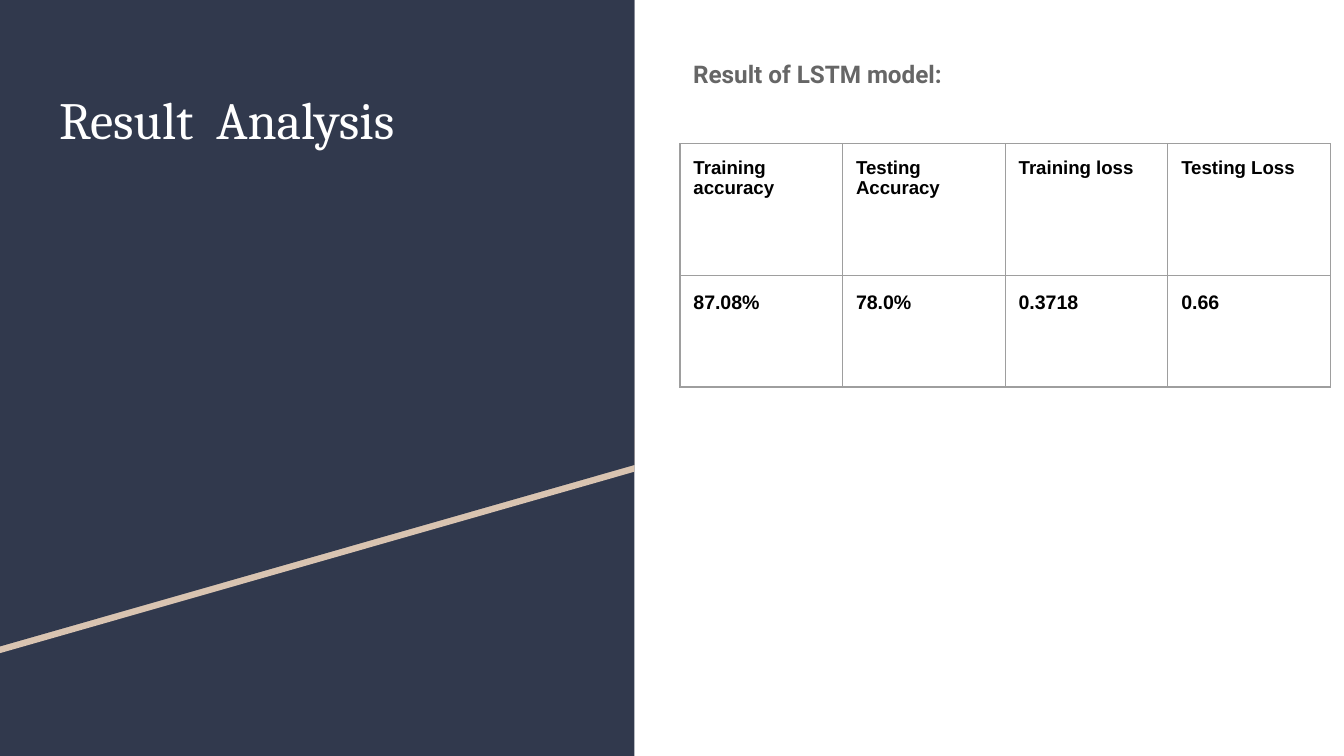
"""Build the result analysis slide with its table of LSTM scores."""
import pptx
import pptx.util
import pptx.dml.color
import pptx.enum.shapes
import pptx.enum.text
import pptx.oxml.ns
from lxml import etree

Inches = pptx.util.Inches
Pt = pptx.util.Pt
qn = pptx.oxml.ns.qn

TITLE = "Result  Analysis"
HEADING = "Result of LSTM model:"
ROWS = [
    ("Training accuracy", "Testing Accuracy", "Training loss", "Testing Loss"),
    ("87.08%", "78.0%", "0.3718", "0.66"),
]
ROW_HEIGHTS = [0.98, 0.83]
ROW_FORMATS = [dict(size=10), dict(size=10.5, spacing=1.15, highlight="white")]
COL_WIDTH = 1.21
SLIDE_WIDTH = 10
SLIDE_HEIGHT = SLIDE_WIDTH * 9 / 16
PANEL_WIDTH = 4.72
COLORS = {
    "navy": "31394D",
    "sand": "D9C4B1",
    "white": "FFFFFF",
    "gray": "666666",
    "black": "000000",
    "border": "9E9E9E",
}
BANDS = [
    ("sand", [(0, 0.05), (4.71, 0.05), (PANEL_WIDTH, 3.51), (0, 4.86)]),
    ("navy", [(0, 0), (PANEL_WIDTH, 0), (PANEL_WIDTH, 3.46), (0, 4.81)]),
]


def rgb(name):
    return pptx.dml.color.RGBColor.from_string(COLORS[name])


def add_color(parent, tag, name):
    holder = etree.SubElement(parent, qn(tag))
    etree.SubElement(holder, qn("a:srgbClr"), val=COLORS[name])


def write(tf, text, size=10, font="Arial", color="black", bold=True,
          spacing=1.0, highlight=None):
    tf.word_wrap = True
    p = tf.paragraphs[0]
    p.alignment = pptx.enum.text.PP_ALIGN.LEFT
    p.line_spacing = spacing
    p.space_before = Pt(0)
    r = p.add_run()
    r.text = text
    r.font.size = Pt(size)
    r.font.bold = bold
    r.font.color.rgb = rgb(color)
    if highlight:
        add_color(r._r.get_or_add_rPr(), "a:highlight", highlight)
    r.font.name = font


def place_text(sp, box, text, **fmt):
    sp.left, sp.top, sp.width, sp.height = map(Inches, box)
    tf = sp.text_frame
    tf.auto_size = pptx.enum.text.MSO_AUTO_SIZE.NONE
    tf.vertical_anchor = pptx.enum.text.MSO_ANCHOR.TOP
    tf.margin_left = tf.margin_right = tf.margin_top = tf.margin_bottom = Inches(0.1)
    write(tf, text, **fmt)


def paint(sp, color):
    sp.shadow.inherit = False
    sp.fill.solid()
    sp.fill.fore_color.rgb = rgb(color)
    sp.line.fill.background()


def format_cell(cell, text, **fmt):
    cell.margin_left = cell.margin_right = Inches(0.1)
    cell.margin_top = cell.margin_bottom = Inches(0.1)
    tcPr = cell._tc.get_or_add_tcPr()
    for side in ("a:lnL", "a:lnR", "a:lnT", "a:lnB"):
        ln = etree.SubElement(tcPr, qn(side), w=str(Pt(0.75)))
        add_color(ln, "a:solidFill", "border")
    cell.fill.background()
    write(cell.text_frame, text, **fmt)


def add_panel(s):
    sp = s.shapes.add_shape(pptx.enum.shapes.MSO_SHAPE.RECTANGLE, 0, 0,
                            Inches(PANEL_WIDTH), Inches(SLIDE_HEIGHT))
    paint(sp, "navy")
    for color, points in BANDS:
        start, *rest = [(Inches(x), Inches(y)) for x, y in points]
        builder = s.shapes.build_freeform(*start)
        builder.add_line_segments(rest, close=True)
        paint(builder.convert_to_shape(), color)


def add_scores(s):
    frame = s.shapes.add_table(len(ROWS), len(ROWS[0]), Inches(5.06), Inches(1.07),
                               Inches(COL_WIDTH * len(ROWS[0])),
                               Inches(sum(ROW_HEIGHTS)))
    table = frame.table
    table.first_row = table.horz_banding = False
    for col in table.columns:
        col.width = Inches(COL_WIDTH)
    for row, height, texts, fmt in zip(table.rows, ROW_HEIGHTS, ROWS, ROW_FORMATS):
        row.height = Inches(height)
        for cell, text in zip(row.cells, texts):
            format_cell(cell, text, **fmt)


def main():
    prs = pptx.Presentation()
    prs.slide_width, prs.slide_height = Inches(SLIDE_WIDTH), Inches(SLIDE_HEIGHT)
    s = prs.slides.add_slide(prs.slide_layouts[5])
    add_panel(s)
    title = s.shapes.title
    title.element.getparent().append(title.element)
    place_text(title, (0.34, 0.55, 4.05, 2.74), TITLE,
               size=28, font="Cambria", color="white", bold=False)
    place_text(s.shapes.add_textbox(0, 0, 0, 0), (5.06, 0.31, 4.56, 4.48), HEADING,
               size=13, font="Roboto", color="gray", spacing=1.15)
    add_scores(s)
    prs.save("out.pptx")


if __name__ == "__main__":
    main()
